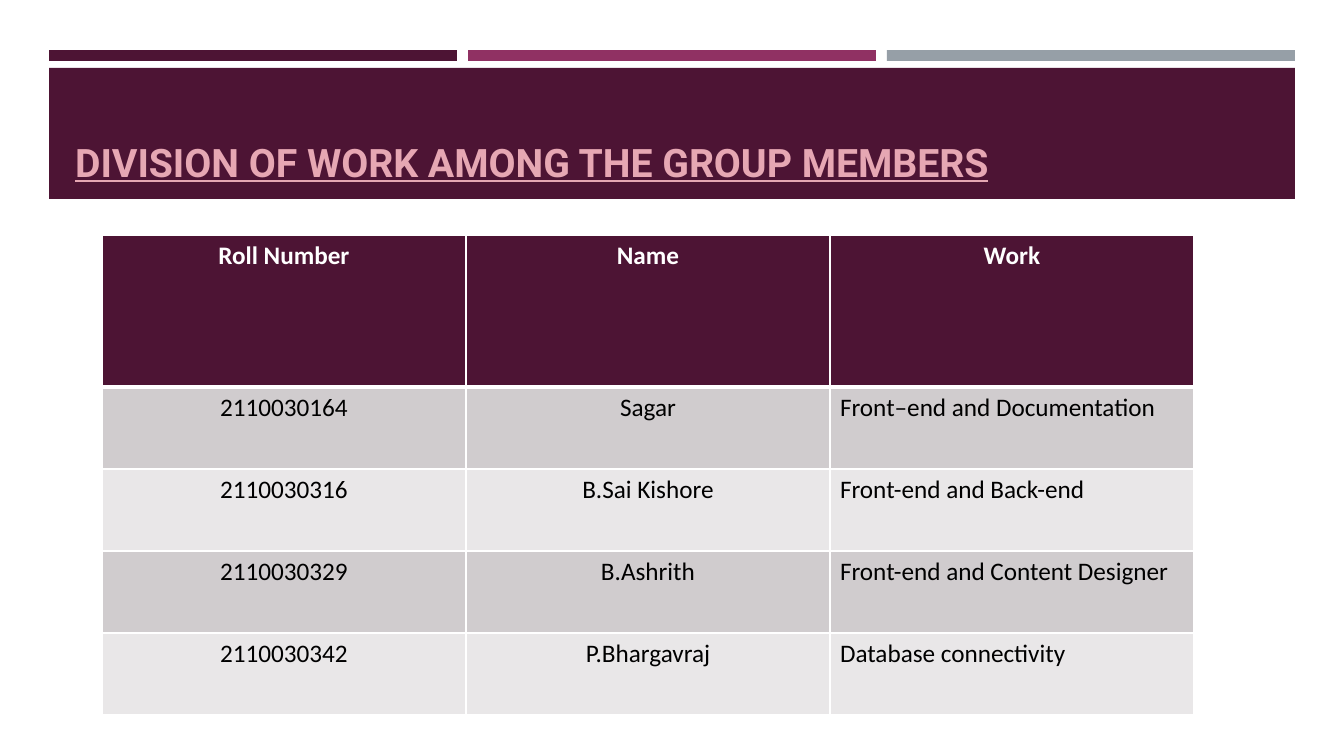
from dataclasses import dataclass

from lxml import etree
from pptx import Presentation
from pptx.dml.color import RGBColor
from pptx.enum.shapes import MSO_SHAPE
from pptx.enum.text import MSO_ANCHOR, MSO_AUTO_SIZE, PP_ALIGN
from pptx.oxml.ns import qn
from pptx.util import Emu, Pt

RECTANGLE = MSO_SHAPE.RECTANGLE
BOTTOM = MSO_ANCHOR.BOTTOM
NO_AUTOFIT = MSO_AUTO_SIZE.NONE
LEFT, CENTER = PP_ALIGN.LEFT, PP_ALIGN.CENTER
PX = 914400 / 100.8
TITLE_ONLY = 5


@dataclass(frozen=True)
class Theme:
    """Colours, fonts and type sizes of the slide."""
    plum: str = "4D1434"
    magenta: str = "903163"
    slate: str = "969FA7"
    pink: str = "E6A7B3"
    white: str = "FFFFFF"
    black: str = "000000"
    bands: tuple = ("D0CCCE", "E9E7E8")
    title_font: str = "Roboto"
    body_font: str = "Calibri"
    title_size: int = 28
    body_size: int = 18
    rule: int = 1
    header_rule: int = 3


def px(*lengths):
    """Turn pixel lengths into EMU."""
    return [Emu(round(length * PX)) for length in lengths]


class SlideBuilder:
    """Draws styled elements on one slide."""

    def __init__(self, slide, theme):
        """Keep the slide and its theme."""
        self.slide = slide
        self.theme = theme

    def bar(self, left, top, width, height, color):
        """Add a plain filled rectangle."""
        bar = self.slide.shapes.add_shape(RECTANGLE, *px(left, top, width, height))
        bar.shadow.inherit = False
        bar.fill.solid()
        bar.fill.fore_color.rgb = RGBColor.from_string(color)
        bar.line.fill.background()

    def styled_run(self, paragraph, text, font, size, color, bold, align):
        """Add one styled run to a paragraph."""
        paragraph.alignment = align
        run = paragraph.add_run()
        run.text = text
        run.font.name = font
        run.font.size = Pt(size)
        run.font.bold = bold
        run.font.color.rgb = RGBColor.from_string(color)
        return run

    def title(self, text, left, top, width, height):
        """Place the title placeholder in front of the banner."""
        title = self.slide.shapes.title
        title.left, title.top, title.width, title.height = px(left, top, width, height)
        self.slide.shapes._spTree.append(title._element)
        frame = title.text_frame
        frame.word_wrap = True
        frame.auto_size = NO_AUTOFIT
        frame.vertical_anchor = BOTTOM
        theme = self.theme
        run = self.styled_run(frame.paragraphs[0], text, theme.title_font,
                              theme.title_size, theme.pink, True, LEFT)
        run.font.underline = True

    def borders(self, cell, top, bottom):
        """Draw white cell borders with the given horizontal widths."""
        properties = cell._tc.get_or_add_tcPr()
        rule = self.theme.rule
        for side, width in (("L", rule), ("R", rule), ("T", top), ("B", bottom)):
            line = etree.SubElement(properties, qn(f"a:ln{side}"), w=str(Pt(width)))
            fill = etree.SubElement(line, qn("a:solidFill"))
            etree.SubElement(fill, qn("a:srgbClr"), val=self.theme.white)

    def table(self, rows, left, top, column_width, header_height, row_height, aligns):
        """Add a banded table with a header row."""
        theme = self.theme
        heights = [header_height] + [row_height] * (len(rows) - 1)
        table = self.slide.shapes.add_table(
            len(rows), len(aligns),
            *px(left, top, column_width * len(aligns), sum(heights))).table
        for column in table.columns:
            column.width = px(column_width)[0]
        for index, (row, height) in enumerate(zip(rows, heights)):
            table.rows[index].height = px(height)[0]
            header = index == 0
            fill = theme.plum if header else theme.bands[(index - 1) % 2]
            color = theme.white if header else theme.black
            above = theme.header_rule if index == 1 else theme.rule
            below = theme.header_rule if header else theme.rule
            for column, text in enumerate(row):
                cell = table.cell(index, column)
                self.borders(cell, above, below)
                cell.fill.solid()
                cell.fill.fore_color.rgb = RGBColor.from_string(fill)
                self.styled_run(cell.text_frame.paragraphs[0], text, theme.body_font,
                                theme.body_size, color, header,
                                CENTER if header else aligns[column])


def main():
    """Build the work division slide."""
    deck = Presentation()
    deck.slide_width, deck.slide_height = px(1344, 756)
    theme = Theme()
    builder = SlideBuilder(deck.slides.add_slide(deck.slide_layouts[TITLE_ONLY]), theme)

    margin, stripe_width, gap = 49, 408, 11
    for index, color in enumerate((theme.plum, theme.magenta, theme.slate)):
        builder.bar(margin + index * (stripe_width + gap), 50, stripe_width, 11, color)
    builder.bar(margin, 68, 3 * stripe_width + 2 * gap, 131, theme.plum)
    builder.title("DIVISION OF WORK AMONG THE GROUP MEMBERS", 65, 78, 1216, 112)

    members = [
        ("Roll Number", "Name", "Work"),
        ("2110030164", "Sagar", "Front–end and Documentation"),
        ("2110030316", "B.Sai Kishore", "Front-end and Back-end"),
        ("2110030329", "B.Ashrith", "Front-end and Content Designer"),
        ("2110030342", "P.Bhargavraj", "Database connectivity"),
    ]
    builder.table(members, left=102, top=235, column_width=364, header_height=152,
                  row_height=82, aligns=(CENTER, CENTER, LEFT))
    deck.save("out.pptx")


if __name__ == "__main__":
    main()
